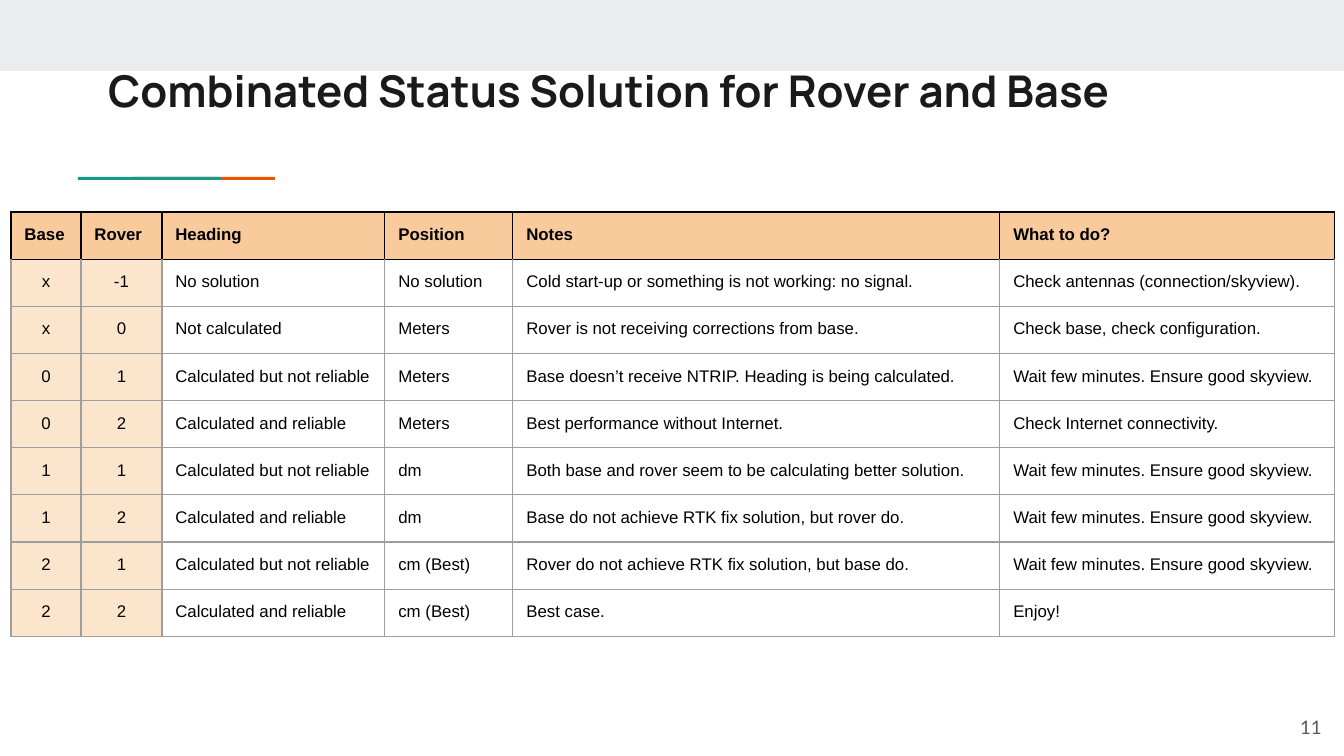
from lxml import etree
from pptx import Presentation
from pptx.dml.color import RGBColor
from pptx.enum.shapes import MSO_SHAPE
from pptx.enum.text import MSO_ANCHOR, PP_ALIGN
from pptx.oxml.ns import qn
from pptx.util import Inches, Pt

RECT = MSO_SHAPE.RECTANGLE
TOP, MIDDLE = MSO_ANCHOR.TOP, MSO_ANCHOR.MIDDLE
LEFT, CENTER, RIGHT = PP_ALIGN.LEFT, PP_ALIGN.CENTER, PP_ALIGN.RIGHT
SCALE = 914400 / 134.4
INSET = Inches(0.1)
BLACK, GREY = "000000", "9E9E9E"
HEAD, KEY = "F9CB9C", "FCE5CD"
WAIT = "Wait few minutes. Ensure good skyview."
UNSURE, SURE = "Calculated but not reliable", "Calculated and reliable"
COLS = [70, 81, 223, 128, 487, 335]
ROWS = [
    ("Base", "Rover", "Heading", "Position", "Notes", "What to do?"),
    ("x", "-1", "No solution", "No solution",
     "Cold start-up or something is not working: no signal.",
     "Check antennas (connection/skyview)."),
    ("x", "0", "Not calculated", "Meters",
     "Rover is not receiving corrections from base.",
     "Check base, check configuration."),
    ("0", "1", UNSURE, "Meters",
     "Base doesn’t receive NTRIP. Heading is being calculated.", WAIT),
    ("0", "2", SURE, "Meters",
     "Best performance without Internet.", "Check Internet connectivity."),
    ("1", "1", UNSURE, "dm",
     "Both base and rover seem to be calculating better solution.", WAIT),
    ("1", "2", SURE, "dm",
     "Base do not achieve RTK fix solution, but rover do.", WAIT),
    ("2", "1", UNSURE, "cm (Best)",
     "Rover do not achieve RTK fix solution, but base do.", WAIT),
    ("2", "2", SURE, "cm (Best)", "Best case.", "Enjoy!"),
]


def px(size):
    """Turn pixels into EMU."""
    return round(size * SCALE)


def color(code):
    """Turn a hex string into a colour."""
    return RGBColor.from_string(code)


class Deck:
    """Hold the style and the current slide."""

    def __init__(self, width, height):
        """Start a deck with one blank slide."""
        self.deck = Presentation()
        self.deck.slide_width, self.deck.slide_height = px(width), px(height)
        self.slide = self.deck.slides.add_slide(self.deck.slide_layouts[6])

    def bar(self, left, top, width, height, fill):
        """Add a plain filled rectangle."""
        shape = self.slide.shapes.add_shape(
            RECT, px(left), px(top), px(width), px(height))
        shape.shadow.inherit = False
        shape.fill.solid()
        shape.fill.fore_color.rgb = color(fill)
        shape.line.fill.background()

    def words(self, frame, text, size, face, ink, bold=False, align=LEFT):
        """Put one run into the first paragraph."""
        para = frame.paragraphs[0]
        para.alignment = align
        run = para.add_run()
        run.text = text
        font = run.font
        font.size, font.name, font.bold = Pt(size), face, bold
        font.color.rgb = color(ink)

    def label(self, left, top, width, height, text, size, face, ink,
              bold=False, align=LEFT, anchor=TOP):
        """Add a text box."""
        box = self.slide.shapes.add_textbox(
            px(left), px(top), px(width), px(height))
        frame = box.text_frame
        frame.word_wrap = True
        frame.vertical_anchor = anchor
        frame.margin_left = frame.margin_right = INSET
        frame.margin_top = frame.margin_bottom = INSET
        self.words(frame, text, size, face, ink, bold, align)

    def edge(self, cell, side, ink):
        """Draw one border of a cell."""
        props = cell._tc.get_or_add_tcPr()
        line = etree.SubElement(props, qn(f"a:ln{side}"), w=str(Pt(0.75)))
        fill = etree.SubElement(line, qn("a:solidFill"))
        etree.SubElement(fill, qn("a:srgbClr"), val=ink)

    def cell(self, cell, text, row, col):
        """Style and fill one table cell."""
        first, key = row == 0, col < 2
        cell.margin_left = cell.margin_right = INSET
        cell.margin_top = cell.margin_bottom = INSET
        for side in "LRTB":
            dark = first or (row == 1 and side == "T")
            self.edge(cell, side, BLACK if dark else GREY)
        if first or key:
            cell.fill.solid()
            cell.fill.fore_color.rgb = color(HEAD if first else KEY)
        else:
            cell.fill.background()
        align = CENTER if key and not first else LEFT
        self.words(cell.text_frame, text, 9, "Arial", BLACK, first, align)

    def table(self, left, top, cols, high, rows):
        """Add the status table."""
        frame = self.slide.shapes.add_table(
            len(rows), len(cols), px(left), px(top),
            px(sum(cols)), px(high * len(rows)))
        table = frame.table
        table.first_row = table.horz_banding = False
        for col, width in enumerate(cols):
            table.columns[col].width = px(width)
        for row, texts in enumerate(rows):
            table.rows[row].height = px(high)
            for col, text in enumerate(texts):
                self.cell(table.cell(row, col), text, row, col)


def main():
    """Build and save the slide."""
    deck = Deck(1344, 756)
    deck.bar(0, 0, 1344, 71, "E9EDEE")
    deck.bar(133, 177, 142, 3, "EB5600")
    deck.bar(78, 177, 143, 3, "1A9988")
    deck.label(95, 50, 1130, 79,
               "Combinated Status Solution for Rover and Base",
               23.4, "Manrope", "1A1A1A", bold=True)
    deck.table(11, 212, COLS, 45, ROWS)
    deck.label(1255, 698, 80, 58, "11", 10, "Lato", "595959",
               align=RIGHT, anchor=MIDDLE)
    deck.deck.save("out.pptx")


if __name__ == "__main__":
    main()
